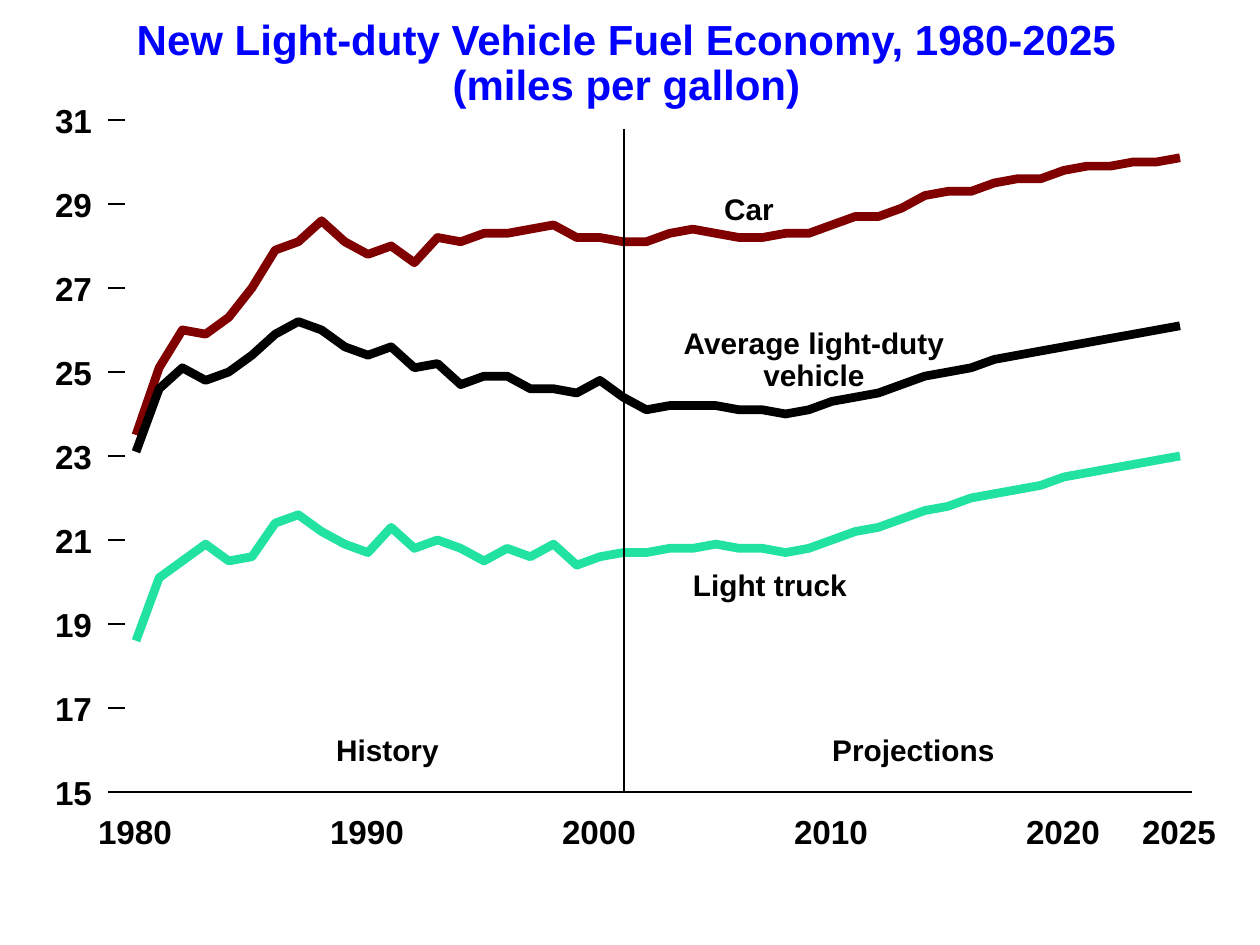
from pptx import Presentation, util as u
from pptx.dml.color import RGBColor
from pptx.enum import shapes, text
from lxml import etree

PX = 914400 / 126
COLORS = {"title": "0000FF", "ink": "000000", "car": "800000", "truck": "22E2A1"}
FIRST_YEAR, YEAR_STEP, LEFT = 1980, 23.2, 136
LOWEST, MPG_STEP, BASE = 15, 42, 792

TRUCK = [18.6, 20.1, 20.5, 20.9, 20.5, 20.6, 21.4, 21.6, 21.2, 20.9, 20.7, 21.3,
         20.8, 21.0, 20.8, 20.5, 20.8, 20.6, 20.9, 20.4, 20.6, 20.7, 20.7, 20.8,
         20.8, 20.9, 20.8, 20.8, 20.7, 20.8, 21.0, 21.2, 21.3, 21.5, 21.7, 21.8,
         22.0, 22.1, 22.2, 22.3, 22.5, 22.6, 22.7, 22.8, 22.9, 23.0]
CAR = [23.5, 25.1, 26.0, 25.9, 26.3, 27.0, 27.9, 28.1, 28.6, 28.1, 27.8, 28.0,
       27.6, 28.2, 28.1, 28.3, 28.3, 28.4, 28.5, 28.2, 28.2, 28.1, 28.1, 28.3,
       28.4, 28.3, 28.2, 28.2, 28.3, 28.3, 28.5, 28.7, 28.7, 28.9, 29.2, 29.3,
       29.3, 29.5, 29.6, 29.6, 29.8, 29.9, 29.9, 30.0, 30.0, 30.1]
AVERAGE = [23.1, 24.6, 25.1, 24.8, 25.0, 25.4, 25.9, 26.2, 26.0, 25.6, 25.4, 25.6,
           25.1, 25.2, 24.7, 24.9, 24.9, 24.6, 24.6, 24.5, 24.8, 24.4, 24.1, 24.2,
           24.2, 24.2, 24.1, 24.1, 24.0, 24.1, 24.3, 24.4, 24.5, 24.7, 24.9, 25.0,
           25.1, 25.3, 25.4, 25.5, 25.6, 25.7, 25.8, 25.9, 26.0, 26.1]

deck = Presentation()
deck.slide_width, deck.slide_height = u.Inches(10), u.Inches(7.5)
page = deck.slides.add_slide(deck.slide_layouts[5])


def write(box, place, words, size, color="ink", align=text.PP_ALIGN.CENTER):
    """Place a box (left, top, width, height in px) and fill it with bold text."""
    box.left, box.top, box.width, box.height = [u.Emu(round(n * PX)) for n in place]
    frame = box.text_frame
    frame.margin_left = frame.margin_top = frame.margin_right = frame.margin_bottom = 0
    frame.word_wrap = False
    frame.auto_size = text.MSO_AUTO_SIZE.NONE
    frame.vertical_anchor = text.MSO_ANCHOR.TOP
    frame.text = words
    for para in frame.paragraphs:
        para.alignment = align
        para.space_before = u.Pt(0)
        para.line_spacing = 0.9 if "\n" in words else 1.0
        for span in para.runs:
            span.font.name, span.font.size, span.font.bold = "Arial", u.Pt(size), True
            span.font.color.rgb = RGBColor.from_string(COLORS[color])


def rule(x1, y1, x2, y2, width=1):
    """Draw a thin straight line between two points in px."""
    ends = [u.Emu(round(n * PX)) for n in (x1, y1, x2, y2)]
    line = page.shapes.add_connector(shapes.MSO_CONNECTOR.STRAIGHT, *ends)
    line.line.color.rgb = RGBColor.from_string(COLORS["ink"])
    line.line.width = u.Pt(width)
    properties = line._element.spPr
    etree.SubElement(properties, properties.tag.split("}")[0].replace(
        "presentationml", "drawingml") + "}effectLst")


write(page.shapes.title, (134, 19, 985, 91),
      "New Light-duty Vehicle Fuel Economy, 1980-2025\n(miles per gallon)", 24, "title")

# Fuel economy curves, one point a year
for values, color in ((TRUCK, "truck"), (CAR, "car"), (AVERAGE, "ink")):
    points = [(round((LEFT + i * YEAR_STEP) * PX),
               round((BASE - (mpg - LOWEST) * MPG_STEP) * PX))
              for i, mpg in enumerate(values)]
    builder = page.shapes.build_freeform(*points[0])
    builder.add_line_segments(points[1:], close=False)
    curve = builder.convert_to_shape()
    curve.shadow.inherit = False
    curve.fill.background()
    curve.line.color.rgb = RGBColor.from_string(COLORS[color])
    curve.line.width = u.Pt(5)

# Axes
for mpg in range(LOWEST, 32, 2):
    y = BASE - (mpg - LOWEST) * MPG_STEP
    rule(108, y, 125, y)
    write(page.shapes.add_textbox(0, 0, 0, 0), (55, y - 20, 37, 40), str(mpg), 19,
          align=text.PP_ALIGN.RIGHT)
rule(125, BASE, 1192, BASE)
for year in (1980, 1990, 2000, 2010, 2020, 2025):
    x = LEFT + (year - FIRST_YEAR) * YEAR_STEP
    write(page.shapes.add_textbox(0, 0, 0, 0), (x - 38, 811, 74, 40), str(year), 19)

# Divider between history and projections
rule(624, 129, 624, 791, 0.75)

for words, place in (
    ("History", (336, 732, 103, 35)),
    ("Projections", (832, 732, 163, 35)),
    ("Car", (724, 191, 50, 35)),
    ("Average light-duty\nvehicle", (683, 329, 262, 64)),
    ("Light truck", (693, 567, 154, 35)),
):
    write(page.shapes.add_textbox(0, 0, 0, 0), place, words, 17)

deck.save("out.pptx")
